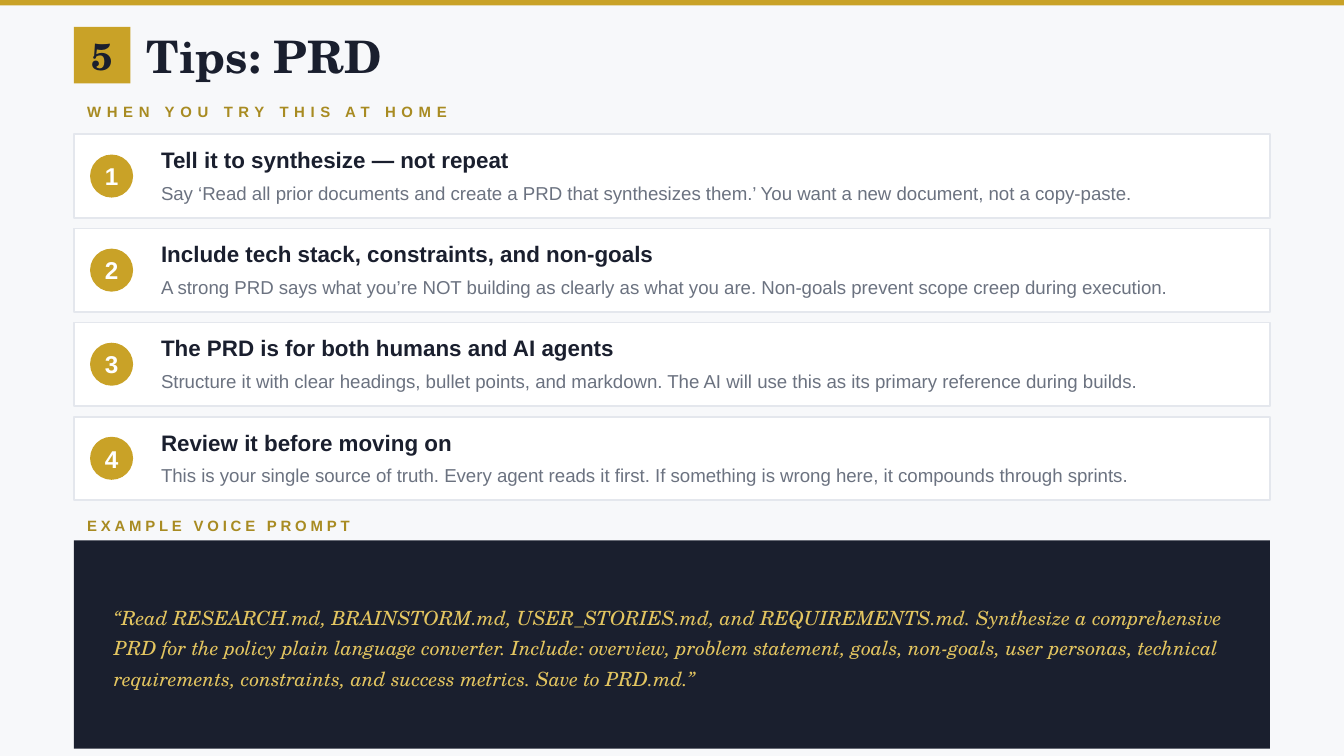
from pptx import Presentation
from pptx.dml.color import RGBColor
from pptx.enum.shapes import MSO_SHAPE
from pptx.enum.text import MSO_ANCHOR, PP_ALIGN
from pptx.util import Inches, Pt

RECT, OVAL = MSO_SHAPE.RECTANGLE, MSO_SHAPE.OVAL
TOP, MIDDLE = MSO_ANCHOR.TOP, MSO_ANCHOR.MIDDLE
LEFT, CENTER = PP_ALIGN.LEFT, PP_ALIGN.CENTER
SANS, SERIF = "Arial", "TeX Gyre Schola"
GOLD, OCHRE, SAND = "C9A227", "A88B22", "E3C560"
NAVY, GRAY, EDGE, WHITE, PALE = "1A1F2E", "6B7280", "E4E7ED", "FFFFFF", "F7F8FA"
MARGIN, WIDTH = 0.55, 8.9
CARD, PITCH = 0.62, 0.7

TIPS = [
    ("Tell it to synthesize — not repeat",
     "Say ‘Read all prior documents and create a PRD that synthesizes them.’ "
     "You want a new document, not a copy-paste."),
    ("Include tech stack, constraints, and non-goals",
     "A strong PRD says what you’re NOT building as clearly as what you are. "
     "Non-goals prevent scope creep during execution."),
    ("The PRD is for both humans and AI agents",
     "Structure it with clear headings, bullet points, and markdown. "
     "The AI will use this as its primary reference during builds."),
    ("Review it before moving on",
     "This is your single source of truth. Every agent reads it first. "
     "If something is wrong here, it compounds through sprints."),
]
PROMPT = (
    "“Read RESEARCH.md, BRAINSTORM.md, USER_STORIES.md, and REQUIREMENTS.md. "
    "Synthesize a comprehensive PRD for the policy plain language converter. "
    "Include: overview, problem statement, goals, non-goals, user personas, "
    "technical requirements, constraints, and success metrics. Save to PRD.md.”"
)


def color(code):
    """Turn a hex string into a colour."""
    return RGBColor.from_string(code)


def block(slide, kind, x, y, w, h, fill, edge=None):
    """Add a flat filled shape, with a thin outline if edge is given."""
    shape = slide.shapes.add_shape(kind, Inches(x), Inches(y), Inches(w), Inches(h))
    shape.shadow.inherit = False
    shape.fill.solid()
    shape.fill.fore_color.rgb = color(fill)
    if edge:
        shape.line.color.rgb = color(edge)
        shape.line.width = Pt(1)
    else:
        shape.line.fill.background()


def label(slide, words, x, y, w, h, size, ink, face=SANS, bold=False, italic=False,
          align=LEFT, anchor=MIDDLE, inset=0.1, leading=None, track=0):
    """Add a wrapped text box with one paragraph."""
    frame = slide.shapes.add_textbox(
        Inches(x), Inches(y), Inches(w), Inches(h)).text_frame
    frame.word_wrap = True
    frame.vertical_anchor = anchor
    frame.margin_left = frame.margin_right = Inches(inset)
    frame.margin_top = frame.margin_bottom = Inches(inset / 2)
    para = frame.paragraphs[0]
    para.alignment = align
    para.line_spacing = leading
    run = para.add_run()
    run.text = words
    font = para.font
    font.name, font.size, font.bold, font.italic = face, Pt(size), bold, italic
    font.color.rgb = color(ink)
    if track:
        run._r.get_or_add_rPr().set("spc", str(track * 100))


def header(slide, x, y, w, number, title):
    """Draw the numbered square and the slide title."""
    side = 0.42
    block(slide, RECT, x, y, side, side, GOLD)
    label(slide, number, x, y, side, side, 20, NAVY, SERIF, bold=True, align=CENTER)
    label(slide, title, x + 0.54, y, w - 0.54, side, 24, NAVY, SERIF, bold=True, inset=0)


def caption(slide, words, x, y, w, h, track):
    """Draw a spaced section caption."""
    label(slide, words, x, y, w, h, 8, OCHRE, bold=True, track=track)


def tip(slide, x, y, w, h, number, title, detail):
    """Draw one card with a numbered dot, a title and a detail line."""
    dot = 0.32
    left, top = x + 0.12, y + (h - dot) / 2
    block(slide, RECT, x, y, w, h, WHITE, EDGE)
    block(slide, OVAL, left, top, dot, dot, GOLD)
    label(slide, number, left, top, dot, dot, 13, WHITE, bold=True, align=CENTER)
    label(slide, title, x + 0.55, y + 0.09, w - 0.7, 0.2, 12, NAVY, bold=True)
    label(slide, detail, x + 0.55, y + 0.26, w - 0.7, 0.28, 10, GRAY,
          anchor=TOP, leading=1.25)


def quote(slide, x, y, w, h, words):
    """Draw the dark panel with the example prompt."""
    block(slide, RECT, x, y, w, h, NAVY)
    label(slide, words, x + 0.2, y, w - 0.4, h, 10.5, SAND, SERIF,
          italic=True, leading=1.3)


def main():
    """Build the slide and save it."""
    deck = Presentation()
    deck.slide_width, deck.slide_height = Inches(10), Inches(10 * 9 / 16)
    slide = deck.slides.add_slide(deck.slide_layouts[6])
    slide.background.fill.solid()
    slide.background.fill.fore_color.rgb = color(PALE)
    block(slide, RECT, 0, 0, 10, 0.04, GOLD)
    header(slide, MARGIN, 0.2, WIDTH, "5", "Tips: PRD")
    caption(slide, "WHEN YOU TRY THIS AT HOME", MARGIN, 0.72, WIDTH, 0.22, 3)
    for index, (title, detail) in enumerate(TIPS):
        tip(slide, MARGIN, 1 + index * PITCH, WIDTH, CARD, str(index + 1), title, detail)
    caption(slide, "EXAMPLE VOICE PROMPT", MARGIN, 3.82, WIDTH, 0.18, 2)
    quote(slide, MARGIN, 4.02, WIDTH, 1.55, PROMPT)
    deck.save("out.pptx")


if __name__ == "__main__":
    main()
